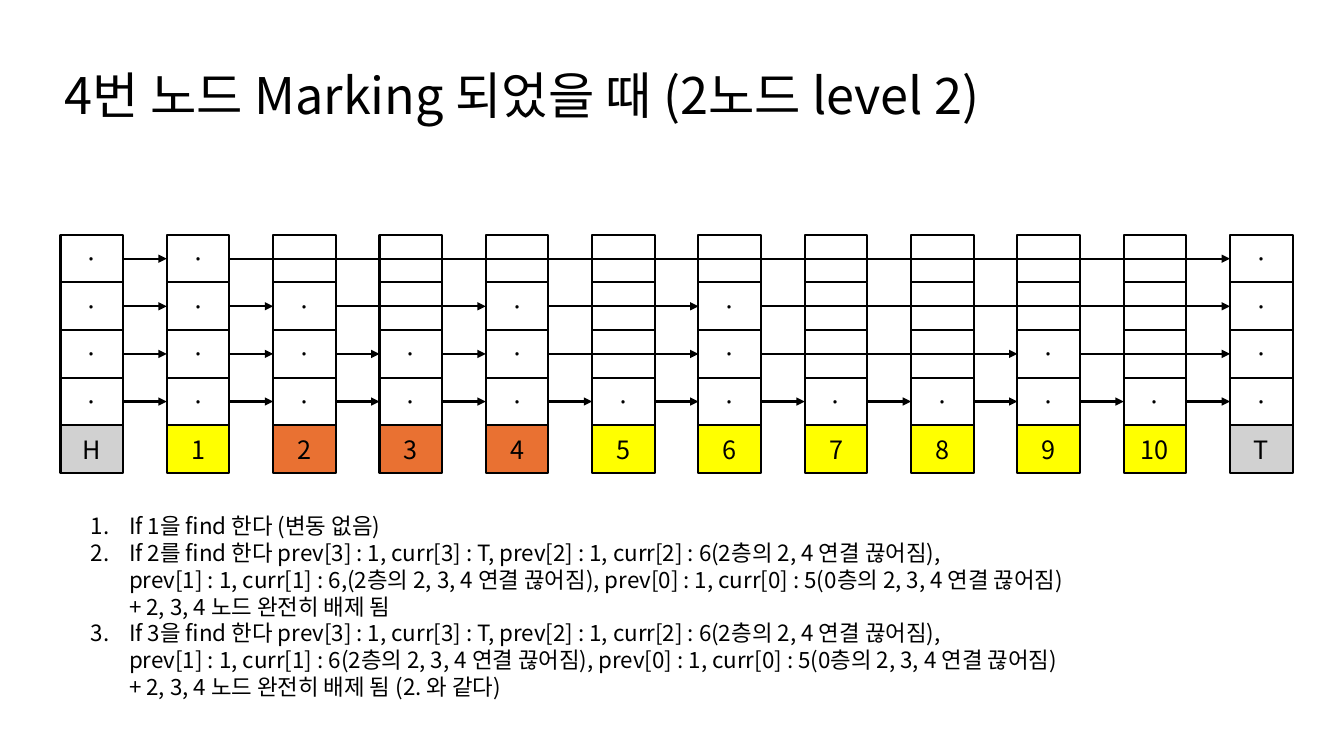
import pptx
import pptx.util
import pptx.dml.color
import pptx.enum.shapes
import pptx.enum.text
import pptx.oxml
import pptx.oxml.ns
from pptx.util import Inches

FONT = "Noto Sans CJK KR"
COLORS = {
    "ink": "000000",
    "cell": "FFFFFF",
    "sentinel": "D1D1D1",
    "linked": "FFFF00",
    "marked": "E97132",
}
# key, number of levels, colour of the key cell
NODES = [
    ("H", 4, "sentinel"), ("1", 4, "linked"), ("2", 3, "marked"),
    ("3", 2, "marked"), ("4", 3, "marked"), ("5", 1, "linked"),
    ("6", 3, "linked"), ("7", 1, "linked"), ("8", 1, "linked"),
    ("9", 2, "linked"), ("10", 1, "linked"), ("T", 4, "sentinel"),
]
LEVELS = 4
NODE_LEFT, NODE_TOP = 0.6, 2.33
NODE_STEP = 11.6 / (len(NODES) - 1)
CELL_WIDTH = 0.62
CELL_HEIGHT = 1.89 / LEVELS
RIGHT_SIDE, LEFT_SIDE = 3, 1

TITLE = "4번 노드 Marking 되었을 때 (2노드 level 2)"
STEPS = [
    ["If 1을 find 한다 (변동 없음)"],
    ["If 2를 find 한다 prev[3] : 1, curr[3] : T, prev[2] : 1, curr[2] : 6(2층의 2, 4 연결 끊어짐),",
     "prev[1] : 1, curr[1] : 6,(2층의 2, 3, 4 연결 끊어짐), prev[0] : 1, curr[0] : 5(0층의 2, 3, 4 연결 끊어짐)",
     "+ 2, 3, 4 노드 완전히 배제 됨"],
    ["If 3을 find 한다 prev[3] : 1, curr[3] : T, prev[2] : 1, curr[2] : 6(2층의 2, 4 연결 끊어짐),",
     "prev[1] : 1, curr[1] : 6(2층의 2, 3, 4 연결 끊어짐), prev[0] : 1, curr[0] : 5(0층의 2, 3, 4 연결 끊어짐)",
     "+ 2, 3, 4 노드 완전히 배제 됨 (2. 와 같다)"],
]


def rgb(name):
    return pptx.dml.color.RGBColor.from_string(COLORS[name])


def add_run(paragraph, text, size):
    run = paragraph.add_run()
    run.text = text
    run.font.size = pptx.util.Pt(size)
    run.font.name = FONT
    run.font.color.rgb = rgb("ink")
    east_asian = pptx.oxml.parse_xml(
        f'<a:ea {pptx.oxml.ns.nsdecls("a")} typeface="{FONT}"/>')
    run.font._element.find(pptx.oxml.ns.qn("a:latin")).addnext(east_asian)


def place(placeholder, left, top, width, height, wrap):
    """Move a placeholder and make its text start at the top left."""
    placeholder.left, placeholder.top = Inches(left), Inches(top)
    placeholder.width, placeholder.height = Inches(width), Inches(height)
    frame = placeholder.text_frame
    frame.word_wrap = wrap
    frame.auto_size = pptx.enum.text.MSO_AUTO_SIZE.NONE
    frame.vertical_anchor = pptx.enum.text.MSO_ANCHOR.TOP
    return frame


def format_paragraph(paragraph, line_spacing):
    paragraph.alignment = pptx.enum.text.PP_ALIGN.LEFT
    paragraph.line_spacing = pptx.util.Pt(line_spacing)
    paragraph.space_before = paragraph.space_after = pptx.util.Pt(0)


def fill_title(title):
    frame = place(title, 0.54, 0.57, 10.04, 0.71, wrap=True)
    format_paragraph(frame.paragraphs[0], 44.5)
    add_run(frame.paragraphs[0], TITLE, 36)


def number_paragraph(paragraph):
    properties = paragraph._p.get_or_add_pPr()
    properties.set("marL", str(Inches(0.38)))
    properties.set("indent", str(-Inches(0.38)))
    properties.append(pptx.oxml.parse_xml(
        f'<a:buFont {pptx.oxml.ns.nsdecls("a")} typeface="+mj-lt"/>'))
    properties.append(pptx.oxml.parse_xml(
        f'<a:buAutoNum {pptx.oxml.ns.nsdecls("a")} type="arabicPeriod"/>'))


def fill_steps(body):
    frame = place(body, 0.8, 5.03, 10.45, 1.99, wrap=False)
    for index, lines in enumerate(STEPS):
        paragraph = frame.add_paragraph() if index else frame.paragraphs[0]
        format_paragraph(paragraph, 19.2)
        number_paragraph(paragraph)
        for line_index, line in enumerate(lines):
            if line_index:
                paragraph.add_line_break()
            add_run(paragraph, line, 16)


def add_cell(node, left, row, fill, text):
    cell = node.shapes.add_shape(
        pptx.enum.shapes.MSO_SHAPE.RECTANGLE,
        Inches(left), Inches(NODE_TOP + row * CELL_HEIGHT),
        Inches(CELL_WIDTH), Inches(CELL_HEIGHT))
    cell.shadow.inherit = False
    cell.fill.solid()
    cell.fill.fore_color.rgb = rgb(fill)
    cell.line.color.rgb = rgb("ink")
    cell.line.width = pptx.util.Pt(1.5)
    if text:
        cell.text_frame.vertical_anchor = pptx.enum.text.MSO_ANCHOR.MIDDLE
        paragraph = cell.text_frame.paragraphs[0]
        paragraph.alignment = pptx.enum.text.PP_ALIGN.CENTER
        add_run(paragraph, text, 18)
    return cell


def add_node(slide, index, key, height, key_fill):
    """Add one grouped tower and return its used cells, lowest level first."""
    node = slide.shapes.add_group_shape()
    left = NODE_LEFT + index * NODE_STEP
    cells = [add_cell(node, left, LEVELS - 1 - level, "cell",
                      "·" if level < height else "")
             for level in range(LEVELS)]
    add_cell(node, left, LEVELS, key_fill, key)
    return cells[:height]


def add_link(slide, source, target):
    link = slide.shapes.add_connector(
        pptx.enum.shapes.MSO_CONNECTOR.STRAIGHT, 0, 0, 0, 0)
    link.begin_connect(source, RIGHT_SIDE)
    link.end_connect(target, LEFT_SIDE)
    link.line.color.rgb = rgb("ink")
    link.line.width = pptx.util.Pt(1.5)
    namespace = pptx.oxml.ns.nsdecls("a")
    link.line._get_or_add_ln().append(
        pptx.oxml.parse_xml(f'<a:tailEnd {namespace} type="triangle"/>'))
    link._element.spPr.append(
        pptx.oxml.parse_xml(f"<a:effectLst {namespace}/>"))


def main():
    presentation = pptx.Presentation()
    presentation.slide_width = Inches(13.33)
    presentation.slide_height = Inches(7.5)
    slide = presentation.slides.add_slide(presentation.slide_layouts[1])
    fill_title(slide.shapes.title)
    fill_steps(slide.placeholders[1])

    towers = [add_node(slide, index, *node) for index, node in enumerate(NODES)]
    for level in range(LEVELS):
        linked = [tower[level] for tower in towers if len(tower) > level]
        for source, target in zip(linked, linked[1:]):
            add_link(slide, source, target)
    presentation.save("out.pptx")


if __name__ == "__main__":
    main()
